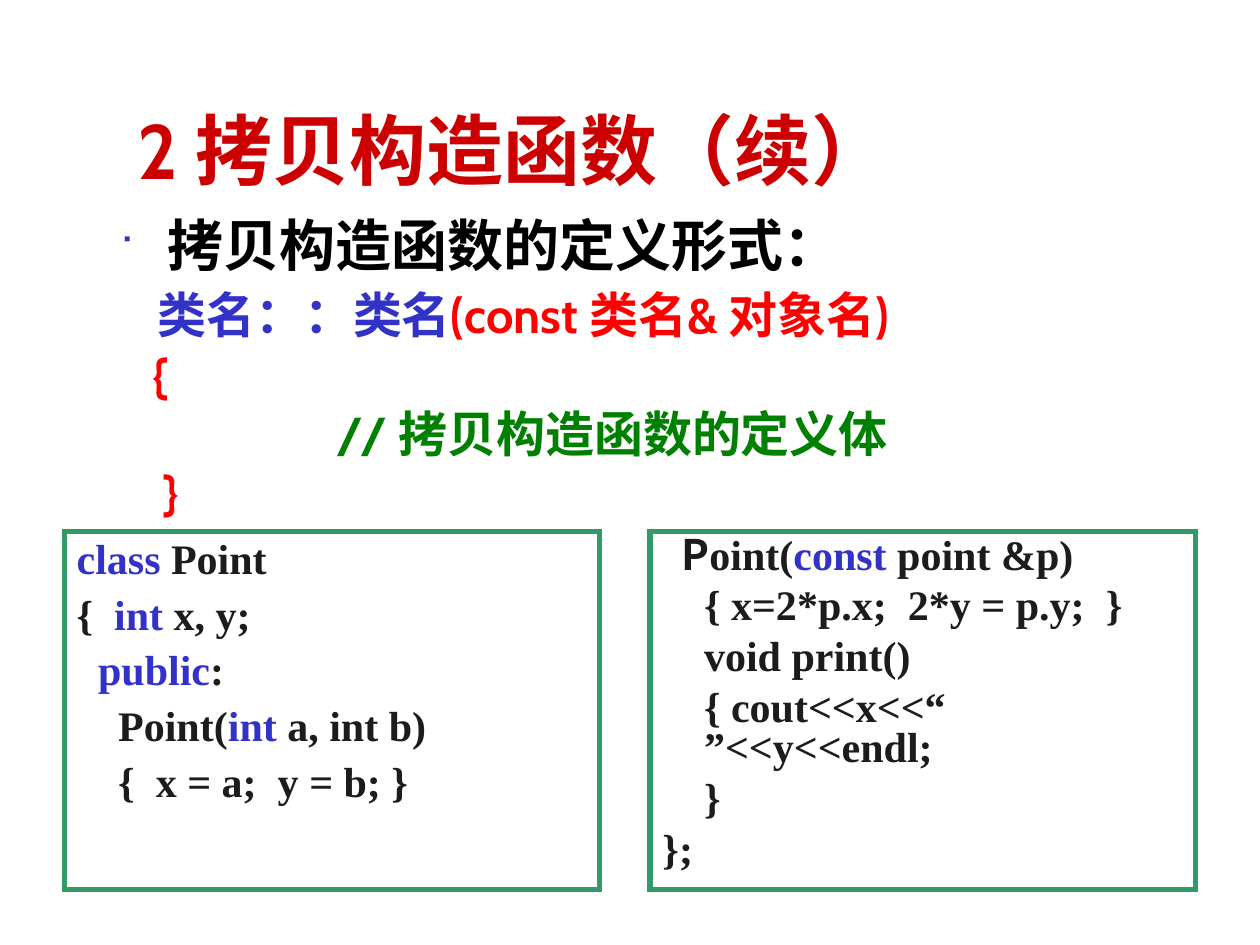
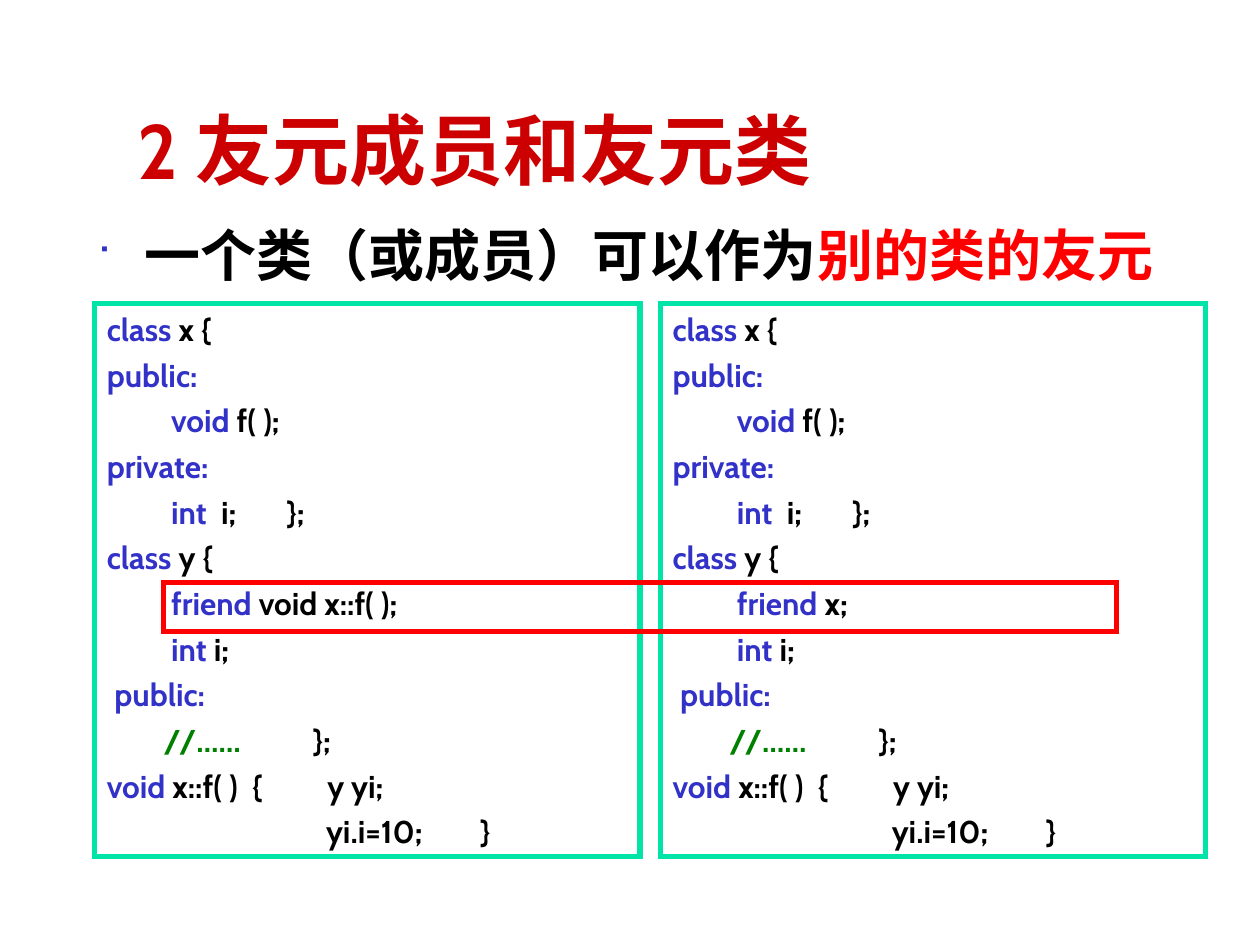
from pptx import Presentation
from pptx.dml.color import RGBColor
from pptx.enum.shapes import MSO_SHAPE as SHAPE
from pptx.enum.text import MSO_ANCHOR as ANCHOR, PP_ALIGN as ALIGN
from pptx.oxml.ns import qn
from pptx.util import Inches, Pt
from lxml.etree import SubElement

COLORS = {
    "title": "CC0000",
    "black": "000000",
    "ink": "1C1C1C",
    "keyword": "3232C8",
    "bullet": "3333CC",
    "red": "FF0000",
    "comment": "008000",
    "green": "339966",
    "mint": "00E4A8",
}
HANG = 0.38
SPACE_WIDTH = {"Cabin": 0.23, "Times New Roman": 0.25}


def color(name):
    return RGBColor.from_string(COLORS[name])


def line(x, *runs, **options):
    return dict(x=x, runs=runs, **options)


def add_run(p, text, ink, font, size):
    r = p.add_run()
    r.text = text
    r.font.name, r.font.size, r.font.bold = font, Pt(size), True
    r.font.color.rgb = color(ink)
    SubElement(r._r.get_or_add_rPr(), qn("a:ea"), typeface=font)
    return r


def add_gap(p, spaces, font, size):
    r = add_run(p, " ", "black", font, size)
    extra = (spaces - 1) * SPACE_WIDTH[font] * size
    r._r.get_or_add_rPr().set("spc", str(round(extra * 100)))


def add_bullet(pPr):
    clr = SubElement(pPr, qn("a:buClr"))
    SubElement(clr, qn("a:srgbClr"), val=COLORS["bullet"])
    SubElement(pPr, qn("a:buSzPct"), val="60000")
    SubElement(pPr, qn("a:buFont"), typeface="Wingdings")
    SubElement(pPr, qn("a:buChar"), char="■")


def set_indent(pPr, left, first=0):
    pPr.set("marL", str(Inches(left)))
    pPr.set("indent", str(Inches(first)))


def write(tf, lines, font="Cabin", size=18, spacing=1.0, before=0, anchor=ANCHOR.TOP):
    tf.word_wrap = True
    tf.vertical_anchor = anchor
    for i, ln in enumerate(lines):
        p = tf.paragraphs[0] if i == 0 else tf.add_paragraph()
        p.alignment = ALIGN.LEFT
        p.line_spacing = spacing
        p.space_before = Pt(ln.get("before", before))
        pPr = p._p.get_or_add_pPr()
        if ln.get("bullet"):
            set_indent(pPr, HANG, -HANG)
            add_bullet(pPr)
        else:
            set_indent(pPr, ln["x"])
        line_size = ln.get("size", size)
        for run in ln["runs"]:
            if isinstance(run, int):
                add_gap(p, run, font, line_size)
            else:
                text, ink, *own_font = run
                add_run(p, text, ink, own_font[0] if own_font else font, line_size)


def add_text(s, x, y, w, h, lines, **style):
    tb = s.shapes.add_textbox(Inches(x), Inches(y), Inches(w), Inches(h))
    write(tb.text_frame, lines, **style)


def add_title(s, text):
    add_text(s, 0.99, 0.6, 8.52, 1, [line(0, (text, "title"))],
             size=44, anchor=ANCHOR.BOTTOM)


def add_frame(s, x, y, w, h, border):
    sp = s.shapes.add_shape(SHAPE.RECTANGLE, Inches(x), Inches(y), Inches(w), Inches(h))
    sp.shadow.inherit = False
    sp.fill.background()
    sp.line.color.rgb = color(border)
    sp.line.width = Pt(3)
    SubElement(sp._element.spPr.find(qn("a:ln")), qn("a:miter"), lim="800000")
    return sp


def add_code(s, x, y, w, h, border, lines, right=0.1, **style):
    sp = add_frame(s, x, y, w, h, border)
    sp.text_frame.margin_right = Inches(right)
    write(sp.text_frame, lines, **style)


def copy_constructor_slide(s):
    add_title(s, "2 拷贝构造函数（续）")
    add_text(s, 0.85, 1.62, 8.19, 2.6, [
        line(0, ("拷贝构造函数的定义形式：", "black"), bullet=True, size=32),
        line(0.3, ("类名：：类名", "keyword"), ("(const 类名& 对象名)", "red"), before=4),
        line(0.26, ("{", "red"), before=1),
        line(1.72, ("// 拷贝构造函数的定义体", "comment")),
        line(0.35, ("}", "red")),
    ], size=28)

    style = dict(font="Times New Roman", size=24, before=6)
    add_code(s, 0.51, 4.22, 4.25, 2.84, "green", [
        line(0, ("class", "keyword"), (" Point", "ink")),
        line(0, ("{", "ink"), 2, ("int", "keyword"), (" x, y;", "ink")),
        line(0.17, ("public", "keyword"), (":", "ink")),
        line(0.33, ("Point(", "ink"), ("int", "keyword"), (" a, int b)", "ink")),
        line(0.33, ("{", "ink"), 2, ("x = a;", "ink"), 2, ("y = b; }", "ink")),
    ], spacing=0.9, **style)
    add_code(s, 5.16, 4.22, 4.33, 2.84, "green", [
        line(0.15, ("P", "ink", "Noto Sans CJK SC"), ("oint(", "ink"),
             ("const ", "keyword"), ("point &p)", "ink")),
        line(0.33, ("{ x=2*p.x;", "ink"), 2, ("2*y = p.y;", "ink"), 2, ("}", "ink")),
        line(0.33, ("void print()", "ink")),
        line(0.33, ("{ cout<<x<<“ ”<<y<<endl;", "ink")),
        line(0.33, ("}", "ink")),
        line(0, ("};", "ink")),
    ], right=0.2, spacing=0.8, **style)


def friend_code(declared):
    member = 0.51
    return [
        line(0, ("class", "keyword"), (" x {", "black")),
        line(0, ("public:", "keyword")),
        line(member, ("void", "keyword"), (" f( );", "black")),
        line(0, ("private:", "keyword")),
        line(member, ("int", "keyword"), 2, ("i;", "black"), 7, ("};", "black")),
        line(0, ("class", "keyword"), (" y {", "black")),
        line(member, ("friend", "keyword"), (f" {declared};", "black")),
        line(member, ("int", "keyword"), (" i;", "black")),
        line(0.06, ("public:", "keyword")),
        line(0.45, ("//……", "comment"), 10, ("};", "black")),
        line(0, ("void", "keyword"), (" x::f( )", "black"), 2, ("{", "black"),
             9, ("y yi;", "black")),
        line(1.74, ("yi.i=10;", "black"), 8, ("}", "black")),
    ]


def friend_slide(s):
    add_title(s, "2 友元成员和友元类")
    add_text(s, 0.67, 1.7, 9.04, 0.7, [
        line(0, ("一个类（或成员）可以作为", "black"), ("别的类的友元", "red"), bullet=True),
    ], size=32, before=8)
    for x, declared in ((0.75, "void x::f( )"), (5.24, "x")):
        add_code(s, x, 2.41, 4.33, 4.39, "mint", friend_code(declared), before=4.5)
    add_frame(s, 1.3, 4.62, 7.56, 0.39, "red")


def main():
    prs = Presentation()
    prs.slide_width, prs.slide_height = Inches(10), Inches(7.5)
    for build in (copy_constructor_slide, friend_slide):
        build(prs.slides.add_slide(prs.slide_layouts[6]))
    prs.save("out.pptx")


if __name__ == "__main__":
    main()
